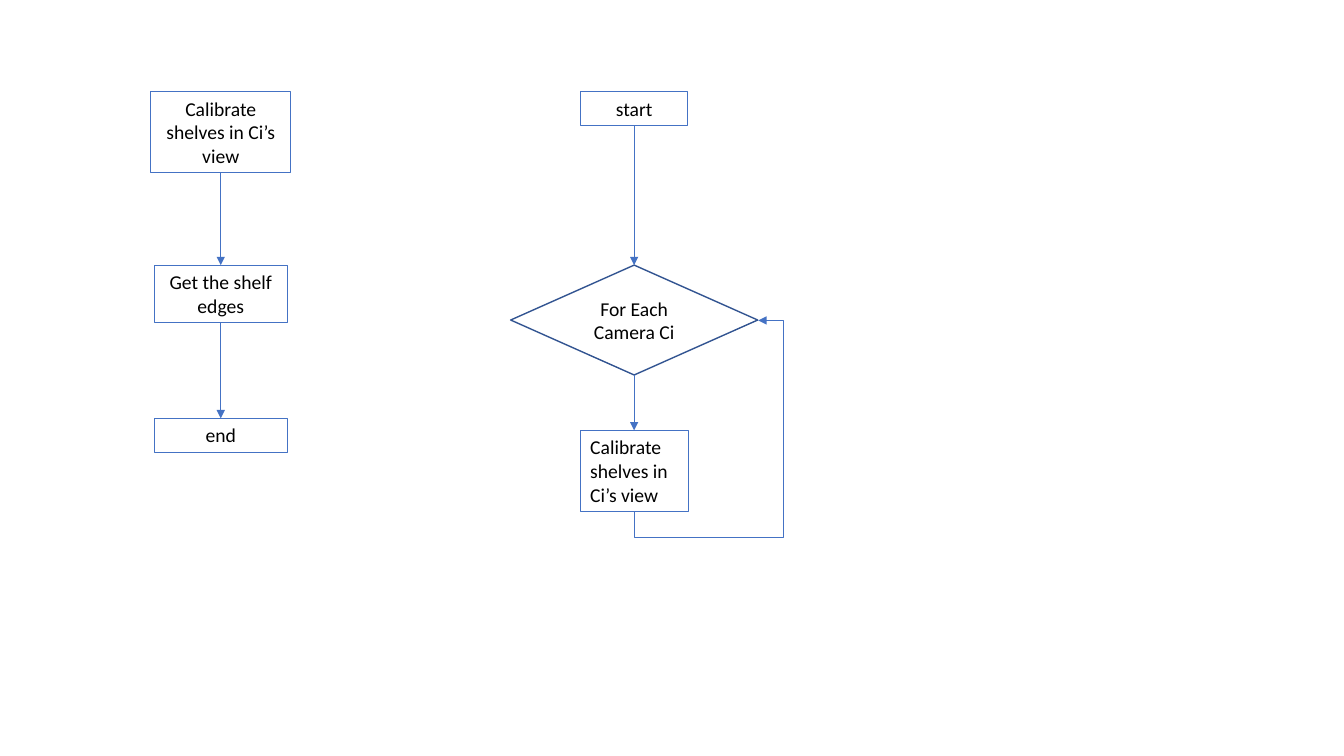
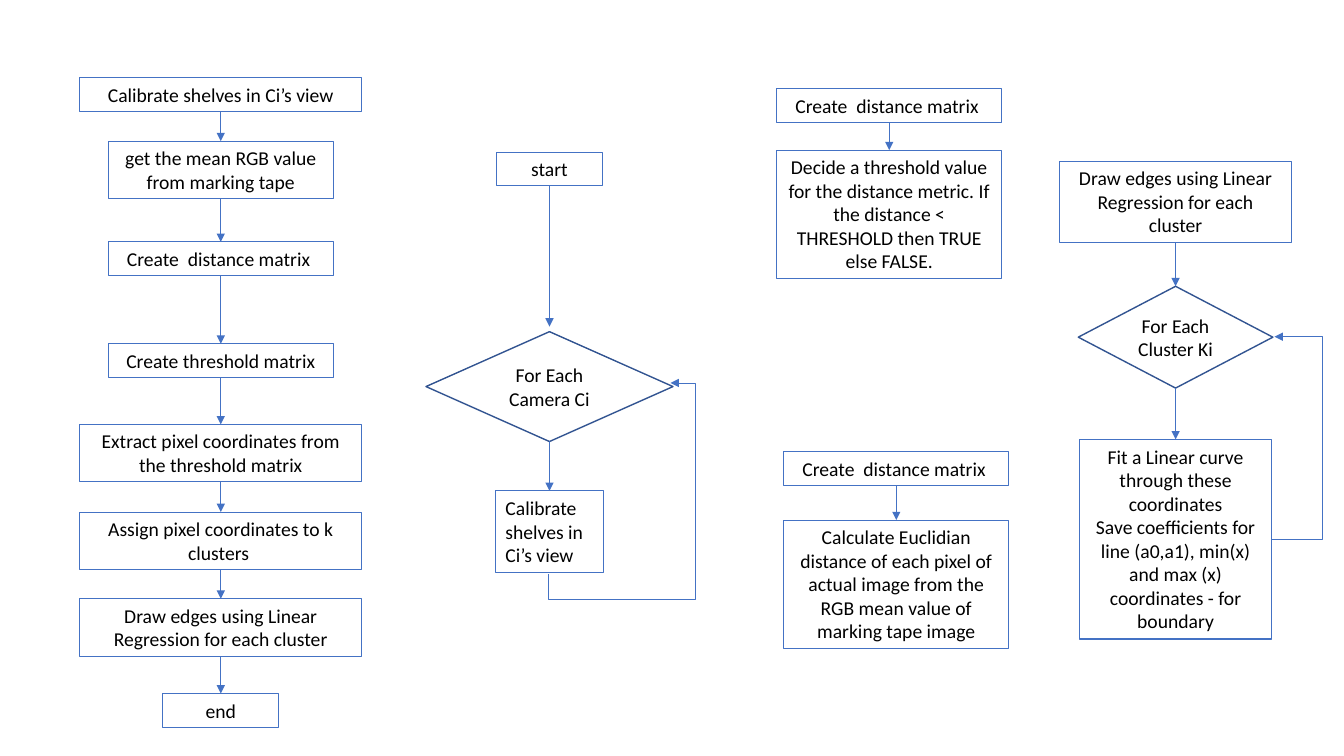
from dataclasses import dataclass
from itertools import pairwise
from typing import Union

from lxml import etree
from pptx import Presentation
from pptx.dml.color import RGBColor
from pptx.enum.shapes import MSO_CONNECTOR, MSO_SHAPE
from pptx.enum.text import MSO_ANCHOR, MSO_AUTO_SIZE, PP_ALIGN
from pptx.oxml.ns import qn
from pptx.shapes.autoshape import Shape
from pptx.shapes.connector import Connector
from pptx.slide import Slide
from pptx.util import Inches, Pt

BLUE = RGBColor(0x44, 0x72, 0xC4)
DARK_BLUE = RGBColor(0x32, 0x54, 0x91)
WHITE = RGBColor(0xFF, 0xFF, 0xFF)
BLACK = RGBColor(0x00, 0x00, 0x00)
FONT = "Calibri"
LEFT = PP_ALIGN.LEFT
CENTER = PP_ALIGN.CENTER
TOP = MSO_ANCHOR.TOP
MIDDLE = MSO_ANCHOR.MIDDLE
FIT_SHAPE = MSO_AUTO_SIZE.SHAPE_TO_FIT_TEXT
NO_FIT = MSO_AUTO_SIZE.NONE
DECISION = MSO_SHAPE.FLOWCHART_DECISION
STRAIGHT = MSO_CONNECTOR.STRAIGHT
ELBOW = MSO_CONNECTOR.ELBOW
TOP_SITE, BOTTOM_SITE = 0, 2
LINE_HEIGHT = 0.235
PADDING = 0.1

CALIBRATE = "Calibrate shelves in Ci’s view"
DISTANCE = "Create  distance matrix "
DRAW_EDGES = "Draw edges using Linear Regression for each cluster"


@dataclass(frozen=True)
class Step:
    text: str
    top: float
    width: float
    lines: int = 1
    align: PP_ALIGN = CENTER
    clearance: float = 0

    @property
    def height(self) -> float:
        return PADDING + LINE_HEIGHT * self.lines


@dataclass(frozen=True)
class Decision:
    text: str
    top: float
    width: float
    height: float
    clearance: float = 0


@dataclass(frozen=True)
class Flow:
    center: float
    nodes: tuple[Union[Step, Decision], ...]


@dataclass(frozen=True)
class Loop:
    start: tuple[float, float]
    end: tuple[float, float]
    right: float
    drop: float = 0


def camera_flow(center: float, start: float, decision: float, calibrate: float,
                clearance: float = 0) -> Flow:
    return Flow(center, (
        Step("start", start, 1.06),
        Decision("For Each Camera Ci", decision, 2.45, 1.09, clearance),
        Step(CALIBRATE, calibrate, 1.07, 3, LEFT),
    ))


SLIDES: tuple[tuple[tuple[Flow, ...], tuple[Loop, ...]], ...] = (
    (
        (
            camera_flow(6.29, 0.91, 2.63, 4.27),
            Flow(2.19, (
                Step(CALIBRATE, 0.91, 1.39, 3),
                Step("Get the shelf edges", 2.63, 1.32, 2),
                Step("end", 4.15, 1.32),
            )),
        ),
        (Loop((6.29, 5.08), (7.52, 3.18), 7.77, 0.25),),
    ),
    (
        (
            Flow(2.19, (
                Step(CALIBRATE, 0.77, 2.8),
                Step("get the mean RGB value from marking tape", 1.4, 2.23, 2),
                Step(DISTANCE, 2.4, 2.23),
                Step("Create threshold matrix", 3.41, 2.23),
                Step("Extract pixel coordinates from the threshold matrix", 4.21, 2.8, 2),
                Step("Assign pixel coordinates to k clusters ", 5.08, 2.8, 2),
                Step(DRAW_EDGES, 5.94, 2.8, 2),
                Step("end", 6.88, 1.15),
            )),
            camera_flow(5.45, 1.51, 3.29, 4.87, 0.05),
            Flow(8.82, (
                Step(DISTANCE, 0.88, 2.23),
                Step("Decide a threshold value for the distance metric. If the "
                     "distance < THRESHOLD then TRUE else FALSE.", 1.49, 2.23, 5),
            )),
            Flow(8.89, (
                Step(DISTANCE, 4.48, 2.23),
                Step("Calculate Euclidian distance of each pixel of actual image from "
                     "the RGB mean value of marking tape image", 5.16, 2.23, 5),
            )),
            Flow(11.66, (
                Step(DRAW_EDGES, 1.6, 2.3, 3),
                Decision("For Each Cluster Ki", 2.84, 1.93, 1.01),
                Step("Fit a Linear curve through these coordinates\n"
                     "Save coefficients for line (a0,a1), min(x) and max (x) "
                     "coordinates - for boundary", 4.36, 1.91, 8),
            )),
        ),
        (
            Loop((5.44, 5.7), (6.65, 3.8), 6.9, 0.25),
            Loop((12.62, 5.35), (12.64, 3.34), 13.11),
        ),
    ),
)


def write_text(shape: Shape, text: str, *, align: PP_ALIGN = CENTER,
               anchor: MSO_ANCHOR = TOP, fit: MSO_AUTO_SIZE = FIT_SHAPE,
               size: float = 14, color: RGBColor = BLACK) -> None:
    frame = shape.text_frame
    frame.text = text
    frame.word_wrap = True
    frame.auto_size = fit
    frame.vertical_anchor = anchor
    for paragraph in frame.paragraphs:
        paragraph.alignment = align
        font = paragraph.runs[0].font
        font.name = FONT
        font.size = Pt(size)
        font.color.rgb = color


def draw_node(slide: Slide, node: Union[Step, Decision], center: float) -> Shape:
    bounds = [Inches(length) for length in
              (center - node.width / 2, node.top, node.width, node.height)]
    if isinstance(node, Decision):
        shape = slide.shapes.add_shape(DECISION, *bounds)
        shape.shadow.inherit = False
        shape.fill.solid()
        shape.fill.fore_color.rgb = WHITE
        shape.line.color.rgb = DARK_BLUE
        shape.line.width = Pt(1)
        write_text(shape, node.text, anchor=MIDDLE, fit=NO_FIT)
    else:
        shape = slide.shapes.add_textbox(*bounds)
        shape.line.color.rgb = BLUE
        shape.line.width = Pt(0.75)
        write_text(shape, node.text, align=node.align)
    return shape


def add_arrow(slide: Slide, kind: MSO_CONNECTOR, start: tuple[float, float],
              end: tuple[float, float]) -> Connector:
    arrow = slide.shapes.add_connector(
        kind, *(Inches(length) for length in (*start, *end)))
    arrow.line.color.rgb = BLUE
    arrow.line.width = Pt(0.5)
    properties = arrow._element.spPr
    etree.SubElement(properties.find(qn("a:ln")), qn("a:tailEnd"), type="triangle")
    etree.SubElement(properties, qn("a:effectLst"))
    return arrow


def draw_flow(slide: Slide, flow: Flow) -> None:
    drawn = [(node, draw_node(slide, node, flow.center)) for node in flow.nodes]
    for (upper, upper_shape), (lower, lower_shape) in pairwise(drawn):
        arrow = add_arrow(slide, STRAIGHT,
                          (flow.center, upper.top + upper.height),
                          (flow.center, lower.top - lower.clearance))
        arrow.begin_connect(upper_shape, BOTTOM_SITE)
        if not lower.clearance:
            arrow.end_connect(lower_shape, TOP_SITE)


def set_bends(arrow: Connector, preset: str, bends: dict[str, float]) -> None:
    geometry = arrow._element.spPr.find(qn("a:prstGeom"))
    geometry.set("prst", preset)
    guides = geometry.find(qn("a:avLst"))
    if guides is None:
        guides = etree.SubElement(geometry, qn("a:avLst"))
    for name, ratio in bends.items():
        etree.SubElement(guides, qn("a:gd"), name=name,
                         fmla=f"val {round(ratio * 100000)}")


def draw_loop(slide: Slide, loop: Loop) -> None:
    (x1, y1), (x2, y2) = loop.start, loop.end
    across, rise = x2 - x1, y1 - y2
    if not loop.drop:
        arrow = add_arrow(slide, ELBOW, loop.start, loop.end)
        set_bends(arrow, "bentConnector3", {"adj1": (loop.right - x1) / across})
        return
    middle_x, middle_y = (x1 + x2) / 2, (y1 + y2) / 2
    arrow = add_arrow(slide, ELBOW,
                      (middle_x - rise / 2, middle_y - across / 2),
                      (middle_x + rise / 2, middle_y + across / 2))
    frame = arrow._element.spPr.find(qn("a:xfrm"))
    for name, setting in (("rot", "5400000"), ("flipH", "1"), ("flipV", "1")):
        frame.set(name, setting)
    set_bends(arrow, "bentConnector4", {"adj1": -loop.drop / rise,
                                        "adj2": (loop.right - x1) / across})


def main() -> None:
    deck = Presentation()
    deck.slide_width = Inches(13.33)
    deck.slide_height = Inches(7.5)
    blank_layout = deck.slide_layouts[6]
    for flows, loops in SLIDES:
        slide = deck.slides.add_slide(blank_layout)
        for flow in flows:
            draw_flow(slide, flow)
        for loop in loops:
            draw_loop(slide, loop)
    deck.save("out.pptx")


if __name__ == "__main__":
    main()
